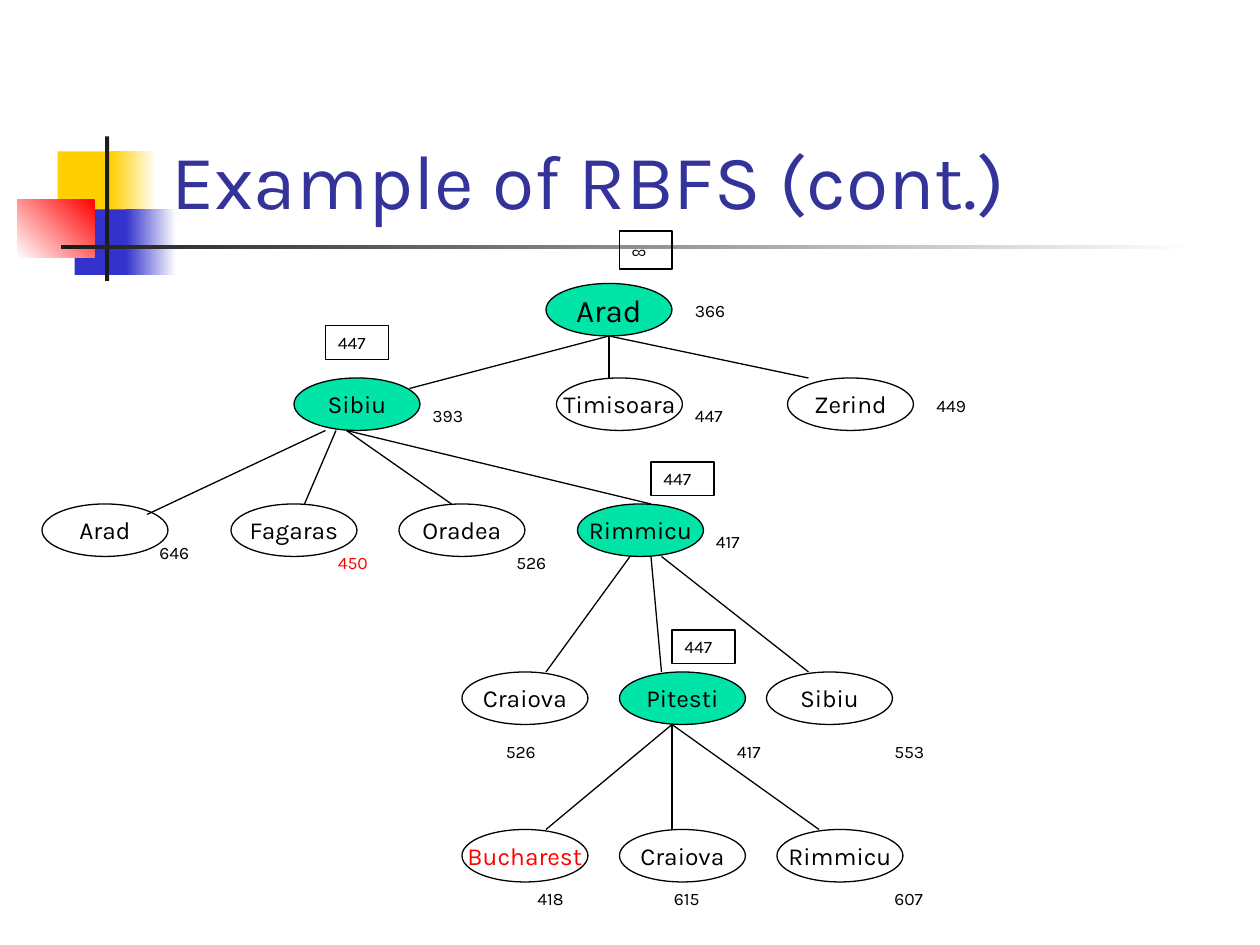
from lxml import etree
from pptx import Presentation
from pptx.dml.color import RGBColor
from pptx.enum.shapes import MSO_CONNECTOR, MSO_SHAPE
from pptx.enum.text import MSO_ANCHOR, MSO_AUTO_SIZE, PP_ALIGN
from pptx.oxml.ns import qn
from pptx.util import Pt

RECT, OVAL = MSO_SHAPE.RECTANGLE, MSO_SHAPE.OVAL
STRAIGHT = MSO_CONNECTOR.STRAIGHT
TOP, MIDDLE, BOTTOM = MSO_ANCHOR.TOP, MSO_ANCHOR.MIDDLE, MSO_ANCHOR.BOTTOM
LEFT, CENTER = PP_ALIGN.LEFT, PP_ALIGN.CENTER
GROW, FIXED = MSO_AUTO_SIZE.SHAPE_TO_FIT_TEXT, MSO_AUTO_SIZE.NONE

FONT = "Karla"
BLACK, RED, WHITE = "000000", "FF0000", "FFFFFF"
YELLOW, BLUE, DARK = "FFCF01", "3333CC", "1C1C1C"
TITLE, GREEN = "333399", "00E4A8"
NODE_W, NODE_H = 72, 30
SCORE_W, SCORE_H = 36, 19.4

DECOR = [
    (33, 86.5, 34.5, 37.5, [YELLOW], 0),
    (63.4, 86.5, 26, 37.5, [YELLOW, WHITE], 0),
    (42.6, 119.7, 33, 37.4, [BLUE], 0),
    (72, 119.7, 28.6, 37.4, [BLUE, WHITE], 0),
    (9.8, 113.8, 44.4, 33.5, [RED, WHITE], 225),
    (60, 78, 2.4, 82.6, [DARK], 0),
    (34.8, 140.1, 648, 2.5, [DARK, WHITE], 0),
]

LEVELS = {
    162: [("Arad", 312, GREEN, BLACK, 18)],
    216: [("Sibiu", 168, GREEN, BLACK, 14),
          ("Timisoara", 318, None, BLACK, 14),
          ("Zerind", 450, None, BLACK, 14)],
    288: [("Arad", 24, None, BLACK, 14),
          ("Fagaras", 132, None, BLACK, 14),
          ("Oradea", 228, None, BLACK, 14),
          ("Rimmicu", 330, GREEN, BLACK, 14)],
    384: [("Craiova", 264, None, BLACK, 14),
          ("Pitesti", 354, GREEN, BLACK, 14),
          ("Sibiu", 438, None, BLACK, 14)],
    474: [("Bucharest", 264, None, RED, 14),
          ("Craiova", 354, None, BLACK, 14),
          ("Rimmicu", 444, None, BLACK, 14)],
}

EDGES = [
    (348, 192, 348, 216), (348, 192, 234, 222), (348, 192, 462, 216),
    (186, 246, 84, 294), (192, 246, 174, 288),
    (198, 246, 258, 288), (198, 246, 372, 288),
    (360, 318, 312, 384), (372, 318, 378, 384), (378, 318, 462, 384),
    (384, 414, 312, 474), (384, 414, 384, 474), (384, 414, 468, 474),
]

LIMITS = [(186, 186), (372, 264), (384, 360)]

SCORES = [
    ("366", 390, 168, BLACK),
    ("393", 240, 228, BLACK), ("447", 390, 228, BLACK),
    ("449", 528, 222, BLACK),
    ("646", 84, 306, BLACK), ("450", 186, 312, RED),
    ("526", 288, 312, BLACK), ("417", 402, 300, BLACK),
    ("526", 282, 420, BLACK), ("417", 414, 420, BLACK),
    ("553", 504, 420, BLACK),
    ("418", 300, 504, BLACK), ("615", 378, 504, BLACK),
    ("607", 504, 504, BLACK),
]


def rgb(value):
    return RGBColor.from_string(value)


def set_text(s, text, size, color, align=LEFT, anchor=TOP, wrap=True, fit=FIXED):
    tf = s.text_frame
    frame = {"word_wrap": wrap, "auto_size": fit, "vertical_anchor": anchor,
             "margin_left": Pt(7.2), "margin_right": Pt(7.2),
             "margin_top": Pt(3.6), "margin_bottom": Pt(3.6)}
    for name, value in frame.items():
        setattr(tf, name, value)
    p = tf.paragraphs[0]
    p.alignment = align
    r = p.add_run()
    r.text = text
    for name, value in {"name": FONT, "size": Pt(size)}.items():
        setattr(r.font, name, value)
    r.font.color.rgb = rgb(color)


def add_shape(slide, kind, x, y, w, h, fill=None, line=None):
    s = slide.shapes.add_shape(kind, Pt(x), Pt(y), Pt(w), Pt(h))
    s.shadow.inherit = False
    if fill:
        s.fill.solid()
        s.fill.fore_color.rgb = rgb(fill)
    else:
        s.fill.background()
    if line:
        s.line.color.rgb = rgb(line)
        s.line.width = Pt(0.75)
    else:
        s.line.fill.background()
    return s


def add_decor(slide, x, y, w, h, colors, angle):
    s = add_shape(slide, RECT, x, y, w, h, colors[0])
    if len(colors) > 1:
        s.fill.gradient()
        s.fill.gradient_angle = angle
        for stop, color in zip(s.fill.gradient_stops, colors):
            stop.color.rgb = rgb(color)


def add_node(slide, name, x, y, fill, color, size):
    s = add_shape(slide, OVAL, x, y, NODE_W, NODE_H, fill, BLACK)
    set_text(s, name, size, color, CENTER, MIDDLE, wrap=False)


def add_edge(slide, x1, y1, x2, y2):
    s = slide.shapes.add_connector(STRAIGHT, Pt(x1), Pt(y1), Pt(x2), Pt(y2))
    s.line.color.rgb = rgb(BLACK)
    s.line.width = Pt(0.75)
    etree.SubElement(s._element.spPr, qn("a:effectLst"))


def add_limit(slide, text, x, y, w=SCORE_W, h=SCORE_H, size=10):
    s = add_shape(slide, RECT, x, y, w, h, line=BLACK)
    set_text(s, text, size, BLACK, fit=GROW)


def add_label(slide, text, x, y, w, h, size, color, **layout):
    s = slide.shapes.add_textbox(Pt(x), Pt(y), Pt(w), Pt(h))
    set_text(s, text, size, color, **layout)


def main():
    prs = Presentation()
    prs.slide_width, prs.slide_height = Pt(720), Pt(540)
    slide = prs.slides.add_slide(prs.slide_layouts[6])
    for decor in DECOR:
        add_decor(slide, *decor)
    add_label(slide, "Example of RBFS (cont.)", 90.7, 16.6, 613.4, 115.2,
              44, TITLE, anchor=BOTTOM)
    for y, nodes in LEVELS.items():
        for name, x, fill, color, size in nodes:
            add_node(slide, name, x, y, fill, color, size)
    for edge in EDGES:
        add_edge(slide, *edge)
    add_limit(slide, "∞", 354, 132, 30, 21.8, 12)
    for x, y in LIMITS:
        add_limit(slide, "447", x, y)
    for text, x, y, color in SCORES:
        add_label(slide, text, x, y, SCORE_W, SCORE_H, 10, color, fit=GROW)
    prs.save("out.pptx")


if __name__ == "__main__":
    main()
